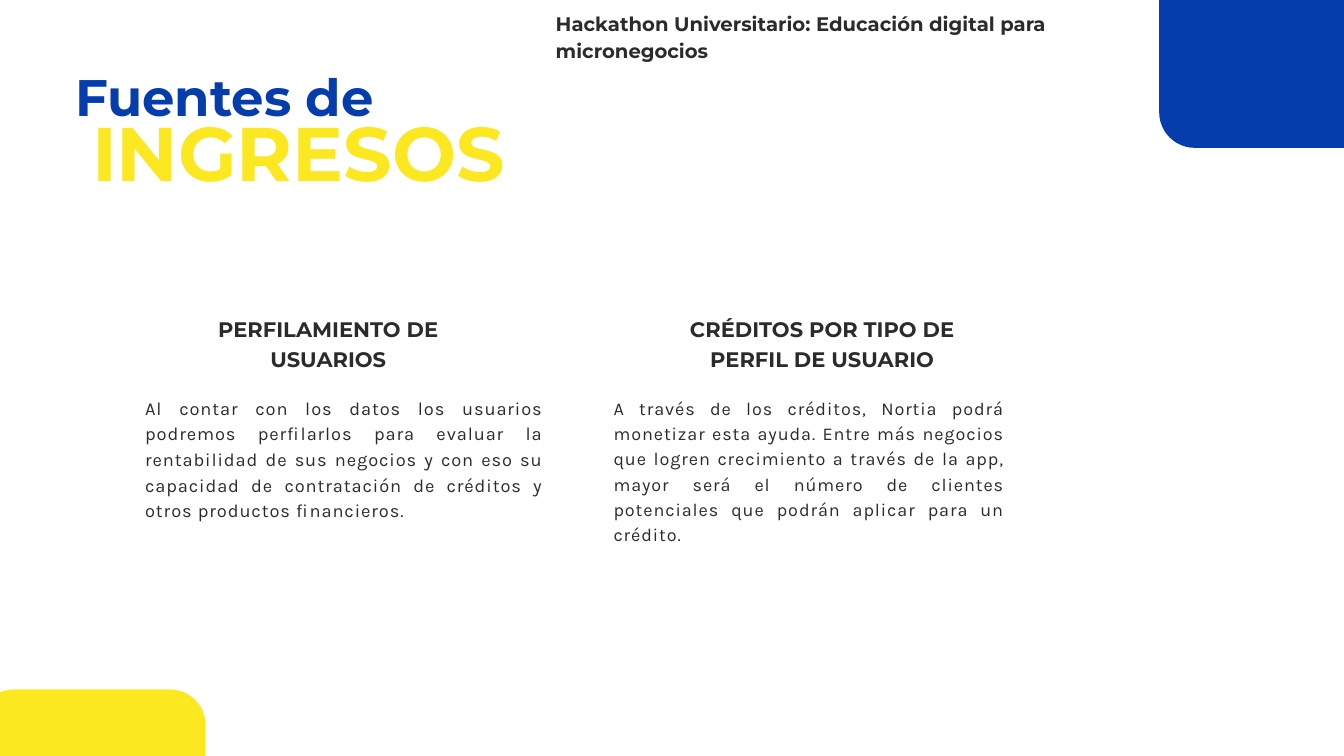
"""Build the "Fuentes de ingresos" slide on a grid of 20 columns by 11.25 rows."""
from dataclasses import dataclass

from pptx import Presentation, util as u
from pptx.dml.color import RGBColor
from pptx.enum import shapes, text

COLUMNS, ROWS = 20, 11.25
CELL = u.Inches(1)
CORNER = 0.53
COLORS = {"blue": "053DAC", "yellow": "FBE821", "ink": "2C2B2B"}
LEFT, CENTER, JUSTIFY = text.PP_ALIGN.LEFT, text.PP_ALIGN.CENTER, text.PP_ALIGN.JUSTIFY


@dataclass(frozen=True)
class Area:
    """A place on the grid, in columns and rows."""
    col: float
    row: float
    cols: float
    rows: float

    def emu(self) -> list[int]:
        """Return left, top, width and height as slide lengths."""
        return [round(n * CELL) for n in (self.col, self.row, self.cols, self.rows)]


@dataclass(frozen=True)
class Style:
    """The look of a text."""
    size: float
    leading: float
    color: str = "ink"
    font: str = "Montserrat"
    bold: bool = True
    align: text.PP_ALIGN = LEFT
    tracking: int = 0


@dataclass(frozen=True)
class Source:
    """A source of income with its heading and explanation."""
    heading: str
    heading_area: Area
    body: str
    body_area: Area
    body_style: Style


def body_style(size: float, leading: float) -> Style:
    """Return the justified, tracked style of an explanation."""
    return Style(size, leading, font="Karla", bold=False, align=JUSTIFY, tracking=100)


TITLE = Style(55, 77, "blue")
KEYWORD = Style(81.4, 114, "yellow")
EVENT = Style(21, 29.4)
HEADING = Style(22.5, 31.5, align=CENTER)

CORNERS = [
    (Area(17.25, -1.09, 3.36, 3.29), "blue"),
    (Area(-0.32, 10.26, 3.38, 3.74), "yellow"),
]
SOURCES = [
    Source(
        "PERFILAMIENTO DE USUARIOS", Area(2.66, 4.65, 4.45, 0.86),
        "Al contar con los datos los usuarios podremos perfilarlos para evaluar la "
        "rentabilidad de sus negocios y con eso su capacidad de contratación de "
        "créditos y otros productos financieros.",
        Area(2.16, 5.85, 5.93, 1.88), body_style(19.6, 27.5)),
    Source(
        "CRÉDITOS POR TIPO DE PERFIL DE USUARIO", Area(10.01, 4.65, 4.45, 0.86),
        "A través de los créditos, Nortia podrá monetizar esta ayuda. Entre más "
        "negocios que logren crecimiento a través de la app, mayor será el número de "
        "clientes potenciales que podrán aplicar para un crédito.",
        Area(9.13, 5.86, 5.82, 2.21), body_style(19.3, 27)),
]


def rgb(name: str) -> RGBColor:
    """Return a named colour."""
    return RGBColor.from_string(COLORS[name])


def add_corner(s, area: Area, color: str) -> None:
    """Draw a rounded block that runs off a corner of the slide."""
    sp = s.shapes.add_shape(shapes.MSO_SHAPE.ROUNDED_RECTANGLE, *area.emu())
    sp.adjustments[0] = CORNER / min(area.cols, area.rows)
    sp.shadow.inherit = False
    sp.fill.solid()
    sp.fill.fore_color.rgb = rgb(color)
    sp.line.fill.background()


def write(sp, words: str, style: Style) -> None:
    """Put one styled paragraph in a shape without insets."""
    tf = sp.text_frame
    tf.text = words
    tf.word_wrap = True
    tf.auto_size = text.MSO_AUTO_SIZE.NONE
    tf.vertical_anchor = text.MSO_ANCHOR.TOP
    tf.margin_left = tf.margin_top = tf.margin_right = tf.margin_bottom = 0
    p = tf.paragraphs[0]
    p.alignment = style.align
    p.line_spacing = u.Pt(style.leading)
    p.space_before = u.Pt(0)
    r = p.runs[0]
    r.font.name, r.font.size, r.font.bold = style.font, u.Pt(style.size), style.bold
    r.font.color.rgb = rgb(style.color)
    if style.tracking:
        r._r.get_or_add_rPr().set("spc", str(style.tracking))


def add_text(s, area: Area, words: str, style: Style) -> None:
    """Add a text box."""
    write(s.shapes.add_textbox(*area.emu()), words, style)


def main() -> None:
    """Build and save the slide."""
    prs = Presentation()
    prs.slide_width, prs.slide_height = round(COLUMNS * CELL), round(ROWS * CELL)
    s = prs.slides.add_slide(prs.slide_layouts[5])
    for area, color in CORNERS:
        add_corner(s, area, color)
    title = s.shapes.title
    title.left, title.top, title.width, title.height = Area(1.12, 0.81, 7.52, 1.03).emu()
    write(title, "Fuentes de", TITLE)
    add_text(s, Area(1.37, 1.35, 7.94, 1.53), "INGRESOS", KEYWORD)
    add_text(s, Area(8.27, 0.12, 7.52, 0.8),
             "Hackathon Universitario: Educación digital para micronegocios", EVENT)
    for source in SOURCES:
        add_text(s, source.heading_area, source.heading, HEADING)
        add_text(s, source.body_area, source.body, source.body_style)
    prs.save("out.pptx")


if __name__ == "__main__":
    main()
